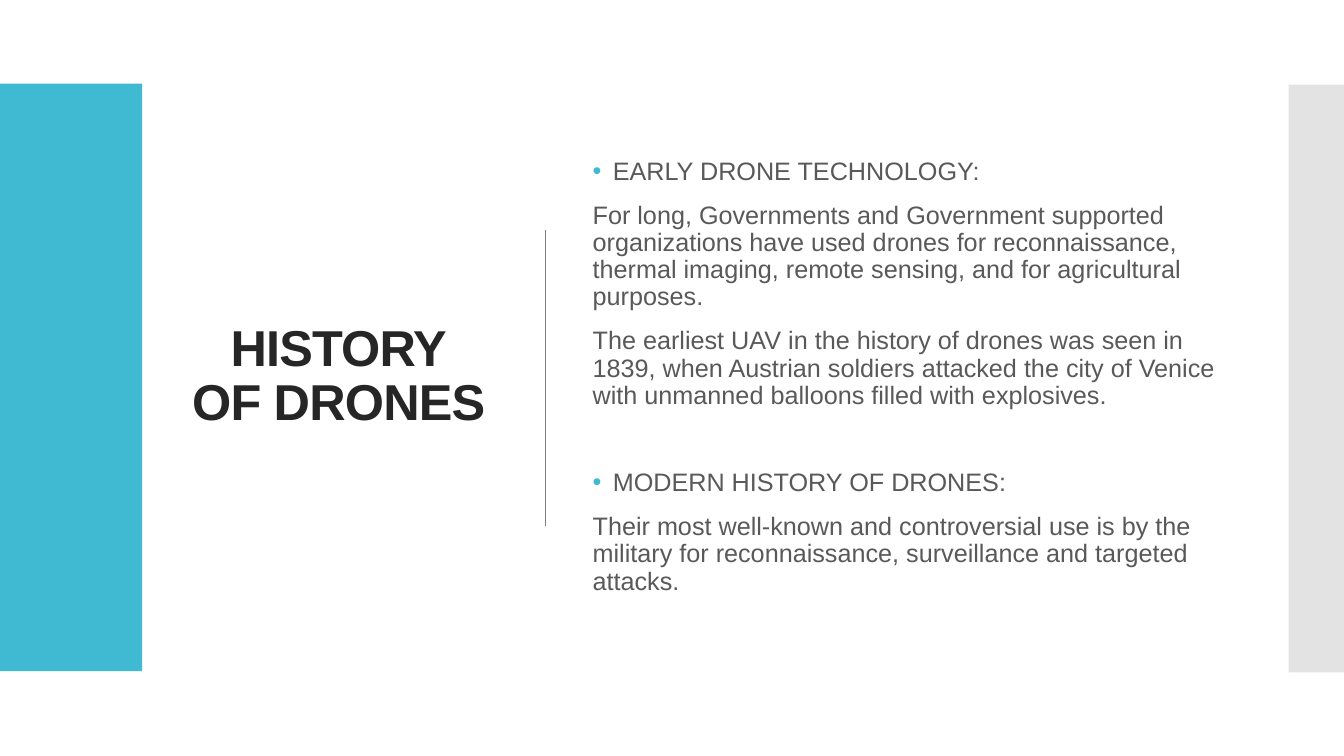
"""Build the slide on the history of drones."""
from dataclasses import dataclass

from lxml import etree
from pptx import Presentation
from pptx.dml.color import RGBColor
from pptx.enum.shapes import MSO_CONNECTOR, MSO_SHAPE
from pptx.enum.text import MSO_ANCHOR, MSO_AUTO_SIZE, PP_ALIGN
from pptx.oxml.ns import qn
from pptx.util import Inches, Pt


@dataclass(frozen=True)
class Theme:
    """Colours, type sizes and spacing of the slide."""
    font: str = "Arial"
    accent: str = "40BAD2"
    side: str = "C8C8C8"
    rule: str = "808080"
    heading: str = "262626"
    body: str = "595959"
    heading_size: int = 36
    body_size: int = 18
    line_spacing: float = 0.9
    paragraph_gap: int = 12
    section_gap: int = 43


THEME = Theme()
TITLE_LINES = ("HISTORY", "OF DRONES")
SECTIONS = (
    ("EARLY DRONE TECHNOLOGY:", (
        "For long, Governments and Government supported organizations have used drones for "
        "reconnaissance, thermal imaging, remote sensing, and for agricultural purposes.",
        "The earliest UAV in the history of drones was seen in 1839, when Austrian soldiers "
        "attacked the city of Venice with unmanned balloons filled with explosives.",
    )),
    ("MODERN HISTORY OF DRONES:", (
        "Their most well-known and controversial use is by the military for reconnaissance, "
        "surveillance and targeted attacks.",
    )),
)


def colour(code):
    """Turn a hex code into a colour."""
    return RGBColor.from_string(code)


def add_bar(slide, left, top, width, height, fill, opacity=100):
    """Add a plain bar without an outline."""
    bar = slide.shapes.add_shape(
        MSO_SHAPE.RECTANGLE, Inches(left), Inches(top), Inches(width), Inches(height))
    bar.shadow.inherit = False
    bar.fill.solid()
    bar.fill.fore_color.rgb = colour(fill)
    bar.line.fill.background()
    if opacity < 100:
        fill_colour = next(bar._element.spPr.iter(qn("a:srgbClr")))
        etree.SubElement(fill_colour, qn("a:alpha"), val=str(opacity * 1000))


def add_divider(slide, x, top, bottom):
    """Add the thin vertical line between title and text."""
    divider = slide.shapes.add_connector(
        MSO_CONNECTOR.STRAIGHT, Inches(x), Inches(top), Inches(x), Inches(bottom))
    divider.line.color.rgb = colour(THEME.rule)
    divider.line.width = Pt(1)
    etree.SubElement(divider._element.spPr, qn("a:effectLst"))


def prepare_frame(shape):
    """Make a text frame wrap and centre its text vertically."""
    frame = shape.text_frame
    frame.word_wrap = True
    frame.auto_size = MSO_AUTO_SIZE.NONE
    frame.vertical_anchor = MSO_ANCHOR.MIDDLE
    return frame


def add_run(paragraph, text, size, code, bold=False):
    """Add one formatted run and return it."""
    run = paragraph.add_run()
    run.text = text
    run.font.name = THEME.font
    run.font.size = Pt(size)
    run.font.bold = bold
    run.font.color.rgb = colour(code)
    return run


def set_title(slide, left, top, width, height):
    """Place and fill the title placeholder."""
    title = slide.shapes.title
    title.left, title.top = Inches(left), Inches(top)
    title.width, title.height = Inches(width), Inches(height)
    paragraph = prepare_frame(title).paragraphs[0]
    paragraph.alignment = PP_ALIGN.CENTER
    paragraph.line_spacing = THEME.line_spacing
    for index, line in enumerate(TITLE_LINES):
        if index:
            paragraph.add_line_break()
        run = add_run(paragraph, line, THEME.heading_size, THEME.heading, bold=True)
        run.font._element.set("spc", "-60")


def add_bullet(paragraph):
    """Give a paragraph a hanging bullet in the accent colour."""
    properties = paragraph._p.get_or_add_pPr()
    indent = Inches(0.2)
    properties.set("marL", str(indent))
    properties.set("indent", str(-indent))
    bullet_colour = etree.SubElement(properties, qn("a:buClr"))
    etree.SubElement(bullet_colour, qn("a:srgbClr"), val=THEME.accent)
    etree.SubElement(properties, qn("a:buFont"), typeface=THEME.font)
    etree.SubElement(properties, qn("a:buChar"), char="•")


def add_sections(slide, left, top, width, height):
    """Add the bulleted headings with their paragraphs."""
    box = slide.shapes.add_textbox(Inches(left), Inches(top), Inches(width), Inches(height))
    frame = prepare_frame(box)
    for number, (heading, texts) in enumerate(SECTIONS):
        for position, text in enumerate((heading, *texts)):
            first = number == 0 and position == 0
            paragraph = frame.paragraphs[0] if first else frame.add_paragraph()
            if position == 0:
                add_bullet(paragraph)
            paragraph.line_spacing = THEME.line_spacing
            if not first:
                gap = THEME.paragraph_gap if position else THEME.section_gap
                paragraph.space_before = Pt(gap)
            add_run(paragraph, text, THEME.body_size, THEME.body)


def main():
    """Build and save the presentation."""
    presentation = Presentation()
    presentation.slide_width, presentation.slide_height = Inches(13.33), Inches(7.5)
    slide = presentation.slides.add_slide(presentation.slide_layouts[5])
    set_title(slide, 1.68, 0.94, 3.36, 5.6)
    add_bar(slide, 0, 0.83, 1.41, 5.83, THEME.accent)
    add_divider(slide, 5.41, 2.28, 5.22)
    add_sections(slide, 5.78, 0.94, 6.46, 5.6)
    add_bar(slide, 12.78, 0.84, 0.55, 5.83, THEME.side, opacity=50)
    presentation.save("out.pptx")


if __name__ == "__main__":
    main()
